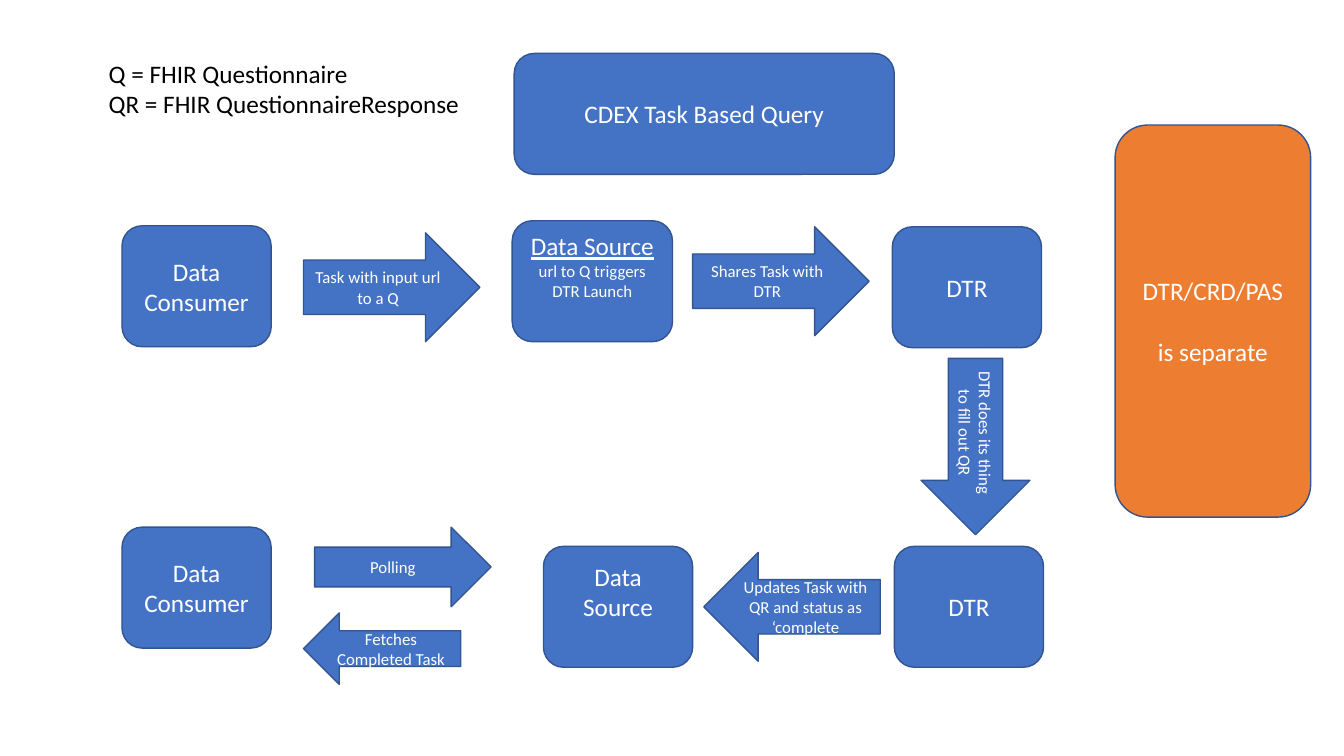
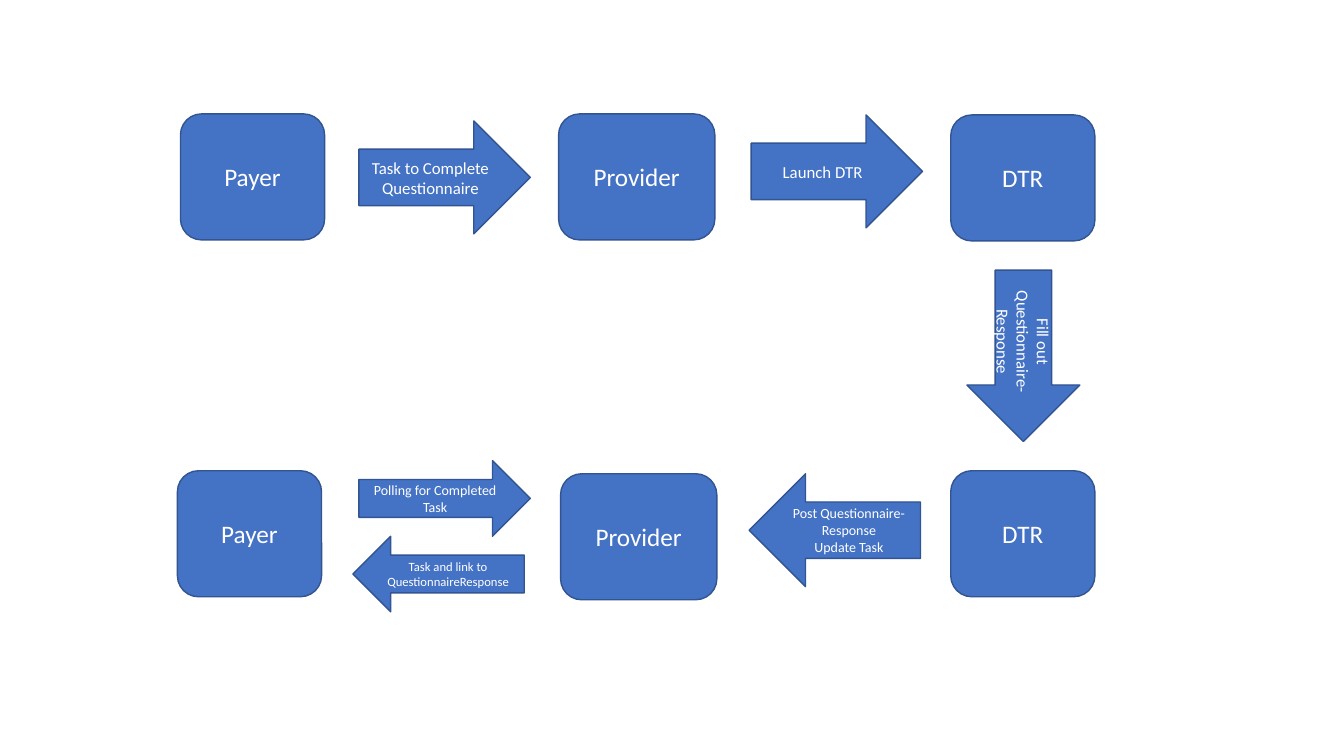
from dataclasses import dataclass
from typing import NamedTuple, Optional

from pptx import Presentation
from pptx.dml.color import RGBColor
from pptx.enum import shapes, text
from pptx.util import Inches, Pt


@dataclass(frozen=True)
class Theme:
    """Colours, font and type sizes shared by both slides."""
    blue: str = "4472C4"
    orange: str = "ED7D31"
    outline: str = "325491"
    light: str = "FFFFFF"
    dark: str = "000000"
    font: str = "Calibri"
    box_size: float = 18
    arrow_size: float = 12
    small_size: float = 10
    tiny_size: float = 9
    line_width: float = 1
    inset: float = 0.05
    blank_line: float = 22


THEME = Theme()
KIND = shapes.MSO_SHAPE


class Size(NamedTuple):
    """Width and height in inches."""
    width: float
    height: float


class Line(NamedTuple):
    """One paragraph of a label."""
    words: str
    size: float = THEME.box_size
    underline: bool = False
    before: float = 0


@dataclass(frozen=True)
class Box:
    """A rounded box that names an actor or a topic."""
    lines: tuple[Line, ...]
    left: float
    top: float
    size: Size
    fill: str = THEME.blue
    bottom_inset: float = THEME.inset


@dataclass(frozen=True)
class Arrow:
    """A block arrow that names a step; its place is taken before turning."""
    lines: tuple[Line, ...]
    left: float
    top: float
    size: Size
    kind: KIND = KIND.RIGHT_ARROW
    turn: float = 0


def box_label(words: str) -> tuple[Line, ...]:
    """Return a one-paragraph label at box size."""
    return (Line(words),)


def step_label(*words: str, size: float = THEME.arrow_size) -> tuple[Line, ...]:
    """Return a label at arrow size, one paragraph for each string."""
    return tuple(Line(part, size) for part in words)


def write_lines(frame, lines: tuple[Line, ...], colour: str,
                align: Optional[text.PP_ALIGN] = None) -> None:
    """Fill a text frame with the lines and format their runs."""
    frame.word_wrap = True
    frame.text = "\n".join(line.words for line in lines)
    for para, line in zip(frame.paragraphs, lines):
        para.alignment = align
        if line.before:
            para.space_before = Pt(line.before)
        for span in para.runs:
            span.font.name = THEME.font
            span.font.size = Pt(line.size)
            span.font.color.rgb = RGBColor.from_string(colour)
            if line.underline:
                span.font.underline = True


def draw_shape(page, kind: KIND, item: Box | Arrow, fill: str):
    """Draw an outlined shape with a centred label."""
    shape = page.shapes.add_shape(kind, Inches(item.left), Inches(item.top),
                                  Inches(item.size.width), Inches(item.size.height))
    shape.shadow.inherit = False
    shape.fill.solid()
    shape.fill.fore_color.rgb = RGBColor.from_string(fill)
    shape.line.color.rgb = RGBColor.from_string(THEME.outline)
    shape.line.width = Pt(THEME.line_width)
    shape.text_frame.vertical_anchor = text.MSO_ANCHOR.MIDDLE
    write_lines(shape.text_frame, item.lines, THEME.light, text.PP_ALIGN.CENTER)
    return shape


def draw_box(page, box: Box) -> None:
    """Draw a rounded box."""
    shape = draw_shape(page, KIND.ROUNDED_RECTANGLE, box, box.fill)
    shape.text_frame.margin_bottom = Inches(box.bottom_inset)


def draw_arrow(page, arrow: Arrow) -> None:
    """Draw a block arrow, turned if asked."""
    shape = draw_shape(page, arrow.kind, arrow, THEME.blue)
    shape.rotation = arrow.turn


def draw_legend(page, lines: tuple[Line, ...], left: float, top: float,
                size: Size) -> None:
    """Write the abbreviations in a plain text box."""
    legend = page.shapes.add_textbox(Inches(left), Inches(top),
                                     Inches(size.width), Inches(size.height))
    write_lines(legend.text_frame, lines, THEME.dark)


def add_flow(deck, boxes: list[Box], arrows: list[Arrow]):
    """Add a blank slide with its boxes and arrows."""
    page = deck.slides.add_slide(deck.slide_layouts[6])
    for box in boxes:
        draw_box(page, box)
    for arrow in arrows:
        draw_arrow(page, arrow)
    return page


ACTOR = Size(1.48, 1.2)
STEP = Size(1.75, 1.08)
RAISED = 0.35  # bottom inset that lifts a label by half a line

QUERY_BOXES = [
    Box(box_label("CDEX Task Based Query"), 5.1, 0.53, Size(3.77, 1.2)),
    Box(box_label("Data Consumer"), 1.21, 2.24, ACTOR),
    Box((Line("Data Source", underline=True),
         Line("url to Q triggers DTR Launch", THEME.arrow_size)),
        5.08, 2.19, Size(1.59, 1.2), bottom_inset=RAISED),
    Box(box_label("DTR"), 8.85, 2.25, ACTOR),
    Box(box_label("DTR"), 8.87, 5.42, ACTOR),
    Box(box_label("Data Source"), 5.39, 5.42, ACTOR, bottom_inset=RAISED),
    Box(box_label("Data Consumer"), 1.21, 5.23, ACTOR),
    Box((Line("DTR/CRD/PAS"), Line("is separate", before=THEME.blank_line)),
        11.06, 1.24, Size(1.94, 3.89), THEME.orange),
]
QUERY_ARROWS = [
    Arrow(step_label("Task with input url to a Q"), 3.01, 2.31, STEP),
    Arrow(step_label("Shares Task with DTR"), 6.87, 2.25, STEP),
    Arrow(step_label("DTR does its thing to fill out QR"), 8.8, 3.89, STEP, turn=90),
    Arrow(step_label("Updates Task with QR and status as ‘complete"),
          6.98, 5.48, STEP, KIND.LEFT_ARROW),
    Arrow(step_label("Polling"), 3.12, 5.23, Size(1.75, 0.79)),
    Arrow(step_label("Fetches Completed Task"), 3.01, 6.08, Size(1.56, 0.71),
          KIND.LEFT_ARROW),
]
LEGEND = (Line("Q = FHIR Questionnaire"), Line("QR = FHIR QuestionnaireResponse"))

PARTY = Size(1.43, 1.25)
PROVIDER = Size(1.55, 1.25)
MOVE = Size(1.7, 1.12)
SLIM_MOVE = Size(1.7, 0.75)

PAYER_BOXES = [
    Box(box_label("Payer"), 1.79, 1.13, PARTY),
    Box(box_label("Provider"), 5.54, 1.13, PROVIDER),
    Box(box_label("DTR"), 9.43, 1.14, PARTY),
    Box(box_label("DTR"), 9.43, 4.67, PARTY),
    Box(box_label("Provider"), 5.56, 4.7, PROVIDER),
    Box(box_label("Payer"), 1.76, 4.67, PARTY),
]
PAYER_ARROWS = [
    Arrow(step_label("Task to Complete Questionnaire"), 3.56, 1.2, MOVE),
    Arrow(step_label("Launch DTR"), 7.45, 1.14, MOVE),
    Arrow(step_label("Fill out Questionnaire-Response"), 9.3, 2.97, MOVE, turn=90),
    Arrow(step_label("Post Questionnaire-Response", "Update Task",
                     size=THEME.small_size), 7.43, 4.7, MOVE, KIND.LEFT_ARROW),
    Arrow(step_label("Polling for Completed Task", size=THEME.small_size),
          3.56, 4.57, SLIM_MOVE),
    Arrow(step_label("Task and link to QuestionnaireResponse", size=THEME.tiny_size),
          3.5, 5.32, SLIM_MOVE, KIND.LEFT_ARROW),
]


def main() -> None:
    """Build both slides and save the deck."""
    deck = Presentation()
    deck.slide_width, deck.slide_height = Inches(13.33), Inches(7.5)
    query_page = add_flow(deck, QUERY_BOXES, QUERY_ARROWS)
    draw_legend(query_page, LEGEND, 0.98, 0.53, Size(3.77, 0.71))
    add_flow(deck, PAYER_BOXES, PAYER_ARROWS)
    deck.save("out.pptx")


main()
